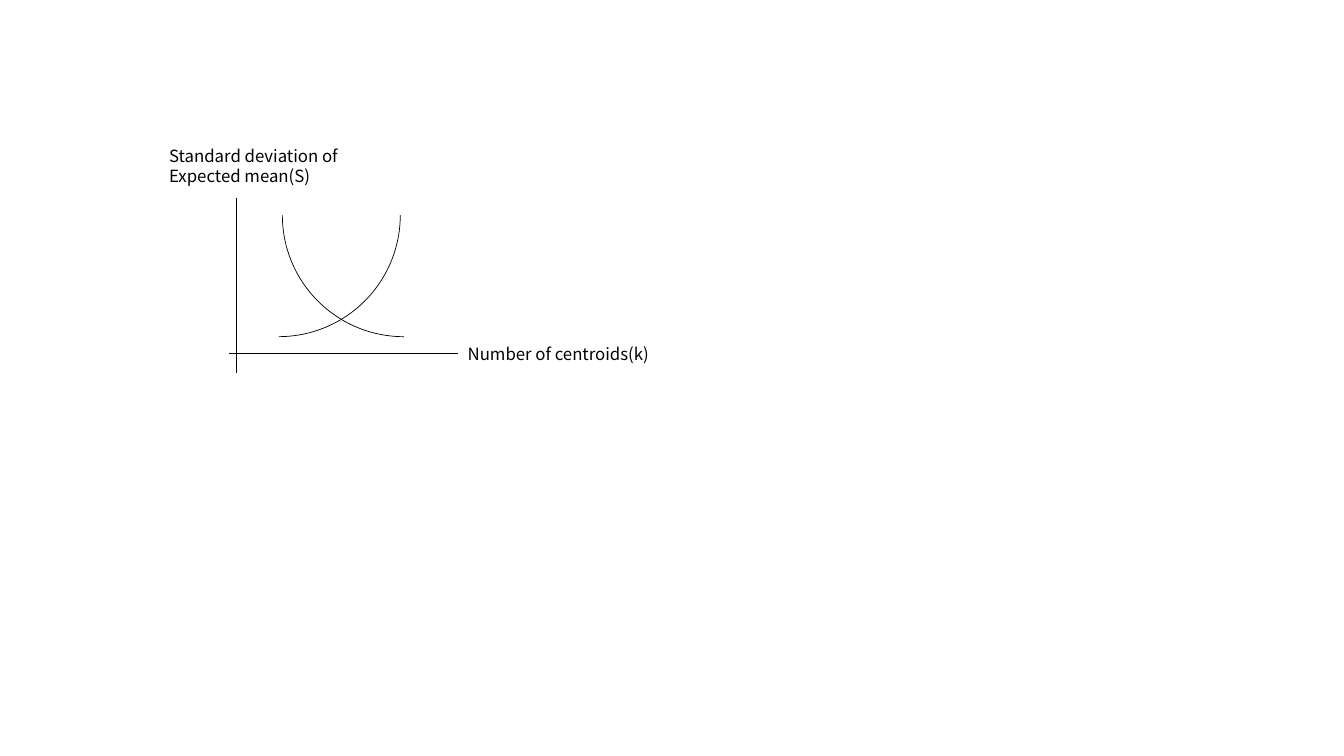
from dataclasses import dataclass

from lxml.etree import SubElement
from pptx import Presentation
from pptx.dml.color import RGBColor
from pptx.enum.shapes import MSO_CONNECTOR, MSO_SHAPE
from pptx.enum.text import MSO_AUTO_SIZE
from pptx.oxml.ns import qn
from pptx.slide import Slide
from pptx.util import Inches, Pt

COLORS = {"ink": "000000"}
FONT = "Noto Sans CJK KR"
ARC_SIZE = 2.41
ARC_TOP = 0.93


@dataclass(frozen=True)
class Curve:
    left: float
    turn: int


@dataclass(frozen=True)
class Axis:
    start: tuple[float, float]
    end: tuple[float, float]


@dataclass(frozen=True)
class Label:
    left: float
    top: float
    height: float
    lines: tuple[str, ...]


CURVES = [Curve(2.8, 180), Curve(1.56, 90)]
AXES = [Axis((2.34, 1.96), (2.34, 3.7)), Axis((4.54, 3.51), (2.27, 3.51))]
LABELS = [
    Label(4.54, 3.36, 0.3, ("Number of centroids(k)",)),
    Label(1.58, 1.4, 0.5, ("Standard deviation of", "Expected mean(S)")),
]


def ink() -> RGBColor:
    return RGBColor.from_string(COLORS["ink"])


def draw_curve(slide: Slide, curve: Curve) -> None:
    arc = slide.shapes.add_shape(
        MSO_SHAPE.ARC, Inches(curve.left), Inches(ARC_TOP), Inches(ARC_SIZE), Inches(ARC_SIZE)
    )
    arc.rotation = curve.turn
    arc.shadow.inherit = False
    arc.fill.background()
    arc.line.color.rgb = ink()
    arc.line.width = Pt(0.5)


def draw_axis(slide: Slide, axis: Axis) -> None:
    points = [Inches(value) for value in axis.start + axis.end]
    line = slide.shapes.add_connector(MSO_CONNECTOR.STRAIGHT, *points)
    line.line.color.rgb = ink()
    line.line.width = Pt(0.5)
    SubElement(line._element.spPr, qn("a:effectLst"))


def draw_label(slide: Slide, label: Label) -> None:
    box = slide.shapes.add_textbox(
        Inches(label.left), Inches(label.top), Inches(2.66), Inches(label.height)
    )
    frame = box.text_frame
    frame.word_wrap = True
    frame.auto_size = MSO_AUTO_SIZE.SHAPE_TO_FIT_TEXT
    for index, text in enumerate(label.lines):
        para = frame.add_paragraph() if index else frame.paragraphs[0]
        run = para.add_run()
        run.text = text
        run.font.name = FONT
        run.font.size = Pt(12)
        run.font.color.rgb = ink()


def main() -> None:
    deck = Presentation()
    deck.slide_width = Inches(13.33)
    deck.slide_height = Inches(7.5)
    slide = deck.slides.add_slide(deck.slide_layouts[6])
    for curve in CURVES:
        draw_curve(slide, curve)
    for axis in AXES:
        draw_axis(slide, axis)
    for label in LABELS:
        draw_label(slide, label)
    deck.save("out.pptx")


if __name__ == "__main__":
    main()
